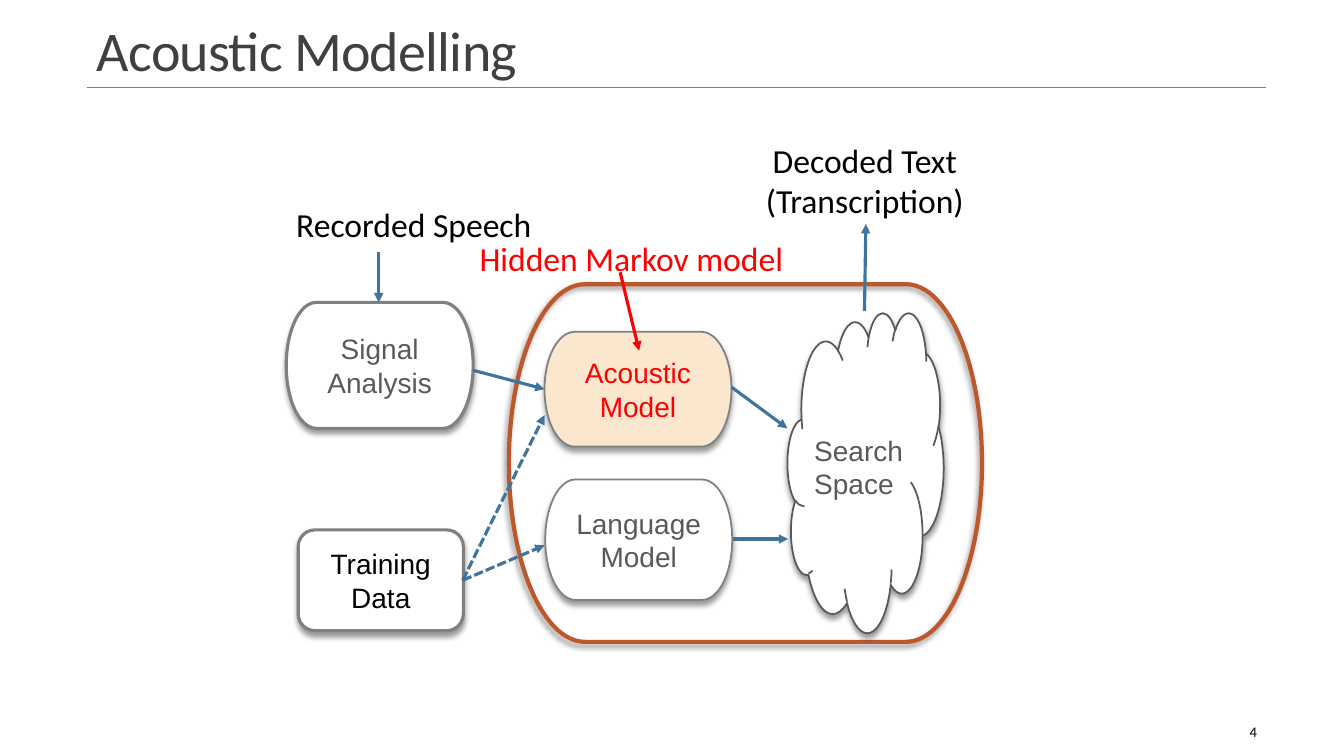
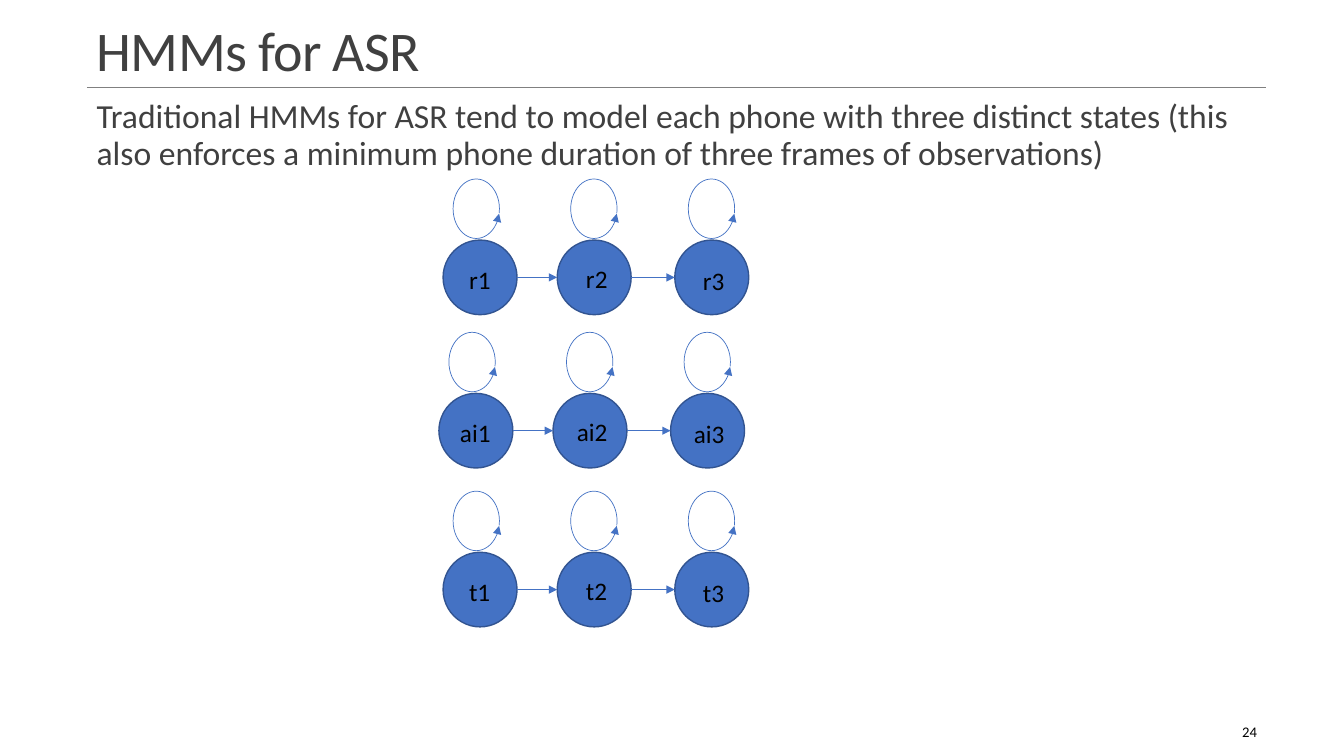
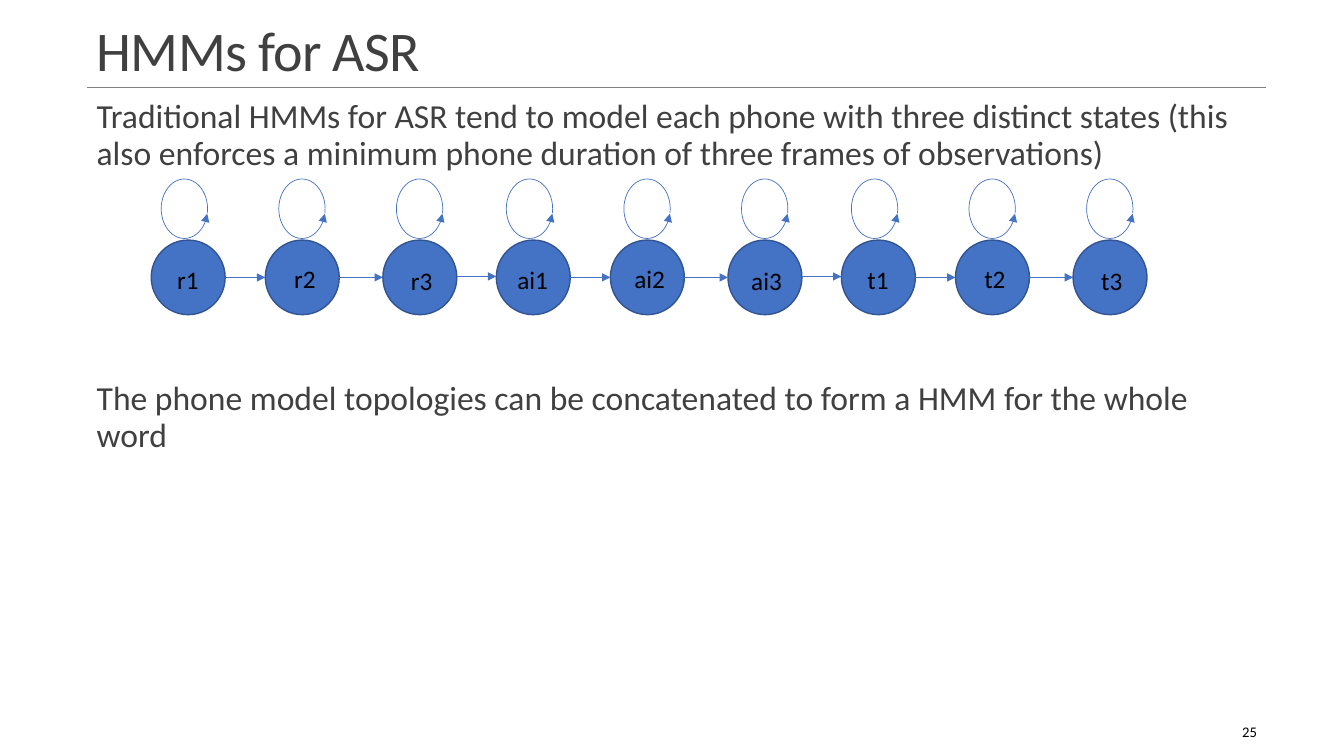
from itertools import pairwise

from lxml import etree
from pptx import Presentation
from pptx.dml.color import RGBColor
from pptx.enum.dml import MSO_LINE
from pptx.enum.shapes import MSO_CONNECTOR, MSO_SHAPE
from pptx.enum.text import MSO_ANCHOR, MSO_AUTO_SIZE, PP_ALIGN
from pptx.oxml.ns import qn
from pptx.util import Pt

LEFT, CENTER, RIGHT = PP_ALIGN.LEFT, PP_ALIGN.CENTER, PP_ALIGN.RIGHT
TOP, MIDDLE, BOTTOM = MSO_ANCHOR.TOP, MSO_ANCHOR.MIDDLE, MSO_ANCHOR.BOTTOM
NO_AUTOFIT = MSO_AUTO_SIZE.NONE
STRAIGHT = MSO_CONNECTOR.STRAIGHT
DASHED = MSO_LINE.SQUARE_DOT
TERMINATOR = MSO_SHAPE.FLOWCHART_TERMINATOR
ROUNDED, CLOUD = MSO_SHAPE.ROUNDED_RECTANGLE, MSO_SHAPE.CLOUD
ELLIPSE, ARC = MSO_SHAPE.OVAL, MSO_SHAPE.ARC

COLORS = {
    "white": "FFFFFF", "black": "000000", "title": "404040", "gray": "808080",
    "label": "595959", "red": "FF0000", "peach": "FBE6CE", "frame": "BD582C",
    "flow": "40749B", "state": "4472C4", "state_edge": "325491",
}
TITLE_LEFT, TITLE_WIDTH, RULE_Y = 62, 842, 62.6
TITLE_BOX = (TITLE_LEFT, 9.4, TITLE_WIDTH, 53.3)
NUMBER_BOX = (802, 508.5, 103, 28.8)

STATE_SIZE = (52.8, 53.3)
STATE_OFFSETS = (0, 81.5, 165.5)
LOOP_SIZE = (42.5, 33.1)
LOOP_ANGLES = (61.32, 60.48)
LABEL_TOPS = (13.7, 13, 14.4)
PHONES = ("r", "ai", "t")

STATES_TEXT = (
    "Traditional HMMs for ASR tend to model each phone with three distinct states "
    "(this also enforces a minimum phone duration of three frames of observations)"
)
WORD_TEXT = "The phone model topologies can be concatenated to form a HMM for the whole word"


def color(name):
    return RGBColor.from_string(COLORS[name])


def apply(target, values):
    for name, value in values.items():
        setattr(target, name, value)


class Deck:
    """Holds the shared style and the slide being filled; lengths are in points."""

    def __init__(self):
        self.presentation = Presentation()
        apply(self.presentation, {"slide_width": Pt(960), "slide_height": Pt(540)})
        self.slide = None

    def add_slide(self, title, number):
        layout = self.presentation.slide_layouts[5]
        self.slide = self.presentation.slides.add_slide(layout)
        self.line((TITLE_LEFT, RULE_Y), (904, RULE_Y), "gray", 0.5, arrow=False)
        shape = self.slide.shapes.title
        names = ("left", "top", "width", "height")
        apply(shape, dict(zip(names, map(Pt, TITLE_BOX))))
        self.fill_text(shape, title, 40, "title", anchor=BOTTOM, spacing=0.85)
        run = shape.text_frame.paragraphs[0].runs[0]
        run.font._element.set("spc", "-50")
        self.text(NUMBER_BOX, str(number), 10.5, align=RIGHT, anchor=MIDDLE)

    def fill_text(self, shape, text, size, ink, font="Calibri", align=LEFT, anchor=TOP,
                  spacing=1.0):
        frame = shape.text_frame
        frame.text = text
        apply(frame, {"word_wrap": True, "auto_size": NO_AUTOFIT,
                      "vertical_anchor": anchor})
        for paragraph in frame.paragraphs:
            apply(paragraph, {"alignment": align, "line_spacing": spacing})
            for run in paragraph.runs:
                apply(run.font, {"name": font, "size": Pt(size)})
                run.font.color.rgb = color(ink)

    def text(self, box, text, size, ink="black", **style):
        shape = self.slide.shapes.add_textbox(*map(Pt, box))
        self.fill_text(shape, text, size, ink, **style)

    def body(self, top, text):
        self.text((TITLE_LEFT, top, TITLE_WIDTH, 64), text, 24, "title", spacing=0.9)

    def shape(self, kind, box, fill, edge, width):
        shape = self.slide.shapes.add_shape(kind, *map(Pt, box))
        shape.shadow.inherit = False
        if fill:
            shape.fill.solid()
            shape.fill.fore_color.rgb = color(fill)
        else:
            shape.fill.background()
        shape.line.color.rgb = color(edge)
        shape.line.width = Pt(width)
        return shape

    def block(self, kind, box, text="", ink="label", fill="white", edge="gray",
              width=1.25, shadow_angle=90):
        """Add a diagram box with a soft shadow and centred text."""
        shape = self.shape(kind, box, fill, edge, width)
        effects = shape._element.spPr.find(qn("a:effectLst"))
        shadow = etree.SubElement(effects, qn("a:outerShdw"), {
            "blurRad": str(Pt(4)), "dist": str(Pt(3)),
            "dir": str(shadow_angle * 60000), "rotWithShape": "0"})
        tone = etree.SubElement(shadow, qn("a:srgbClr"), val=COLORS["black"])
        etree.SubElement(tone, qn("a:alpha"), val="40000")
        if text:
            self.fill_text(shape, text, 20, ink, font="Arial", align=CENTER,
                           anchor=MIDDLE)

    def line(self, start, end, ink="flow", width=2.25, dash=None, arrow=True):
        connector = self.slide.shapes.add_connector(STRAIGHT, *map(Pt, start + end))
        connector.line.color.rgb = color(ink)
        apply(connector.line, {"width": Pt(width), "dash_style": dash})
        etree.SubElement(connector._element.spPr, qn("a:effectLst"))
        if arrow:
            self.arrowhead(connector, "a:tailEnd")

    def arrowhead(self, shape, end):
        outline = shape.line._get_or_add_ln()
        etree.SubElement(outline, qn(end), type="triangle")

    def transition(self, start_x, end_x, y):
        self.line((start_x, y), (end_x, y), "state", 0.5)

    def phone_model(self, phone, left, top):
        """Draw the three chained states of a phone, each with a self-loop."""
        width, height = STATE_SIZE
        for offset in STATE_OFFSETS:
            self.shape(ELLIPSE, (left + offset, top, *STATE_SIZE),
                       "state", "state_edge", 1)
        for before, after in pairwise(STATE_OFFSETS):
            self.transition(left + before + width, left + after, top + height / 2)
        label_left = left + (8 if len(phone) > 1 else 11.5)
        for index, label_top in enumerate(LABEL_TOPS):
            loop = self.shape(ARC, (left + 2.5 + 84 * index, top - 39, *LOOP_SIZE),
                              None, "state", 0.5)
            loop.rotation = 270
            for number, angle in enumerate(LOOP_ANGLES):
                loop.adjustments[number] = angle
            self.arrowhead(loop, "a:headEnd")
            self.text((label_left + 83.5 * index, top + label_top, 42, 29),
                      f"{phone}{index + 1}", 18)


def acoustic_modelling(deck):
    deck.add_slide("Acoustic Modelling", 4)
    deck.block(TERMINATOR, (204.5, 216, 133.5, 90), "Signal Analysis", width=2.25)
    deck.block(ROUNDED, (213, 378.5, 118, 72), "Training Data", "black", width=2.25)
    deck.block(TERMINATOR, (363.5, 203, 338, 255.5), fill=None, edge="frame",
               width=3, shadow_angle=135)
    deck.block(TERMINATOR, (389, 237, 133.5, 82), "Acoustic Model", "red", "peach")
    deck.block(TERMINATOR, (389.5, 342.5, 133.5, 86), "Language Model")
    deck.block(CLOUD, (562.5, 223, 111.5, 228.5), edge="label")

    training_out = (330.5, 414.5)
    deck.line((338, 264.5), (389, 278))
    deck.line(training_out, (389, 296.5), dash=DASHED)
    deck.line(training_out, (389, 389.5), dash=DASHED)
    deck.line((270.5, 180), (270.5, 216))
    deck.line((522.5, 276.5), (562.5, 306))
    deck.line((523.5, 385), (563, 385))
    deck.line((617.5, 222), (618.5, 160))

    deck.text((204.5, 142, 197.5, 36), "Recorded Speech", 24)
    deck.text((574.5, 306, 81, 55.5), "Search Space", 20, "label", font="Arial")
    deck.text((519, 96.5, 197.5, 65.5), "Decoded Text\n(Transcription)", 24,
              align=CENTER)
    deck.text((335.5, 166.5, 237.5, 36), "Hidden Markov model", 24, "red")
    deck.line((443, 194.5), (456.5, 250.5), "red")


def phone_models(deck):
    deck.add_slide("HMMs for ASR", 24)
    deck.body(67.7, STATES_TEXT)
    places = ((316.5, 171.5), (313.5, 281), (316.5, 394.5))
    for phone, place in zip(PHONES, places):
        deck.phone_model(phone, *place)


def word_model(deck):
    deck.add_slide("HMMs for ASR", 25)
    deck.body(67.7, STATES_TEXT)
    deck.body(269.3, WORD_TEXT)
    lefts = [108 + 246.5 * index for index in range(len(PHONES))]
    for phone, left in zip(PHONES, lefts):
        deck.phone_model(phone, left, 171.5)
    for before, after in pairwise(lefts):
        deck.transition(before + STATE_OFFSETS[-1] + STATE_SIZE[0], after, 197.5)


def main():
    deck = Deck()
    acoustic_modelling(deck)
    phone_models(deck)
    word_model(deck)
    deck.presentation.save("out.pptx")


if __name__ == "__main__":
    main()
